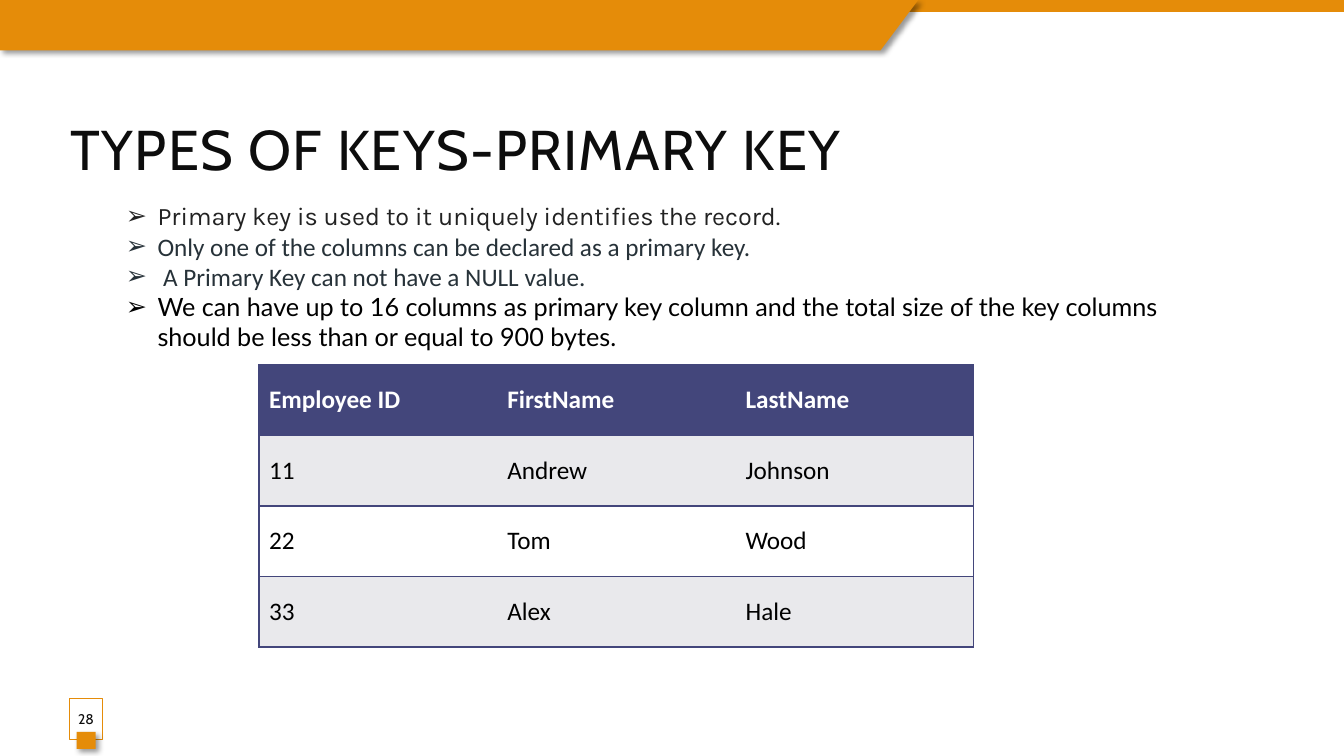
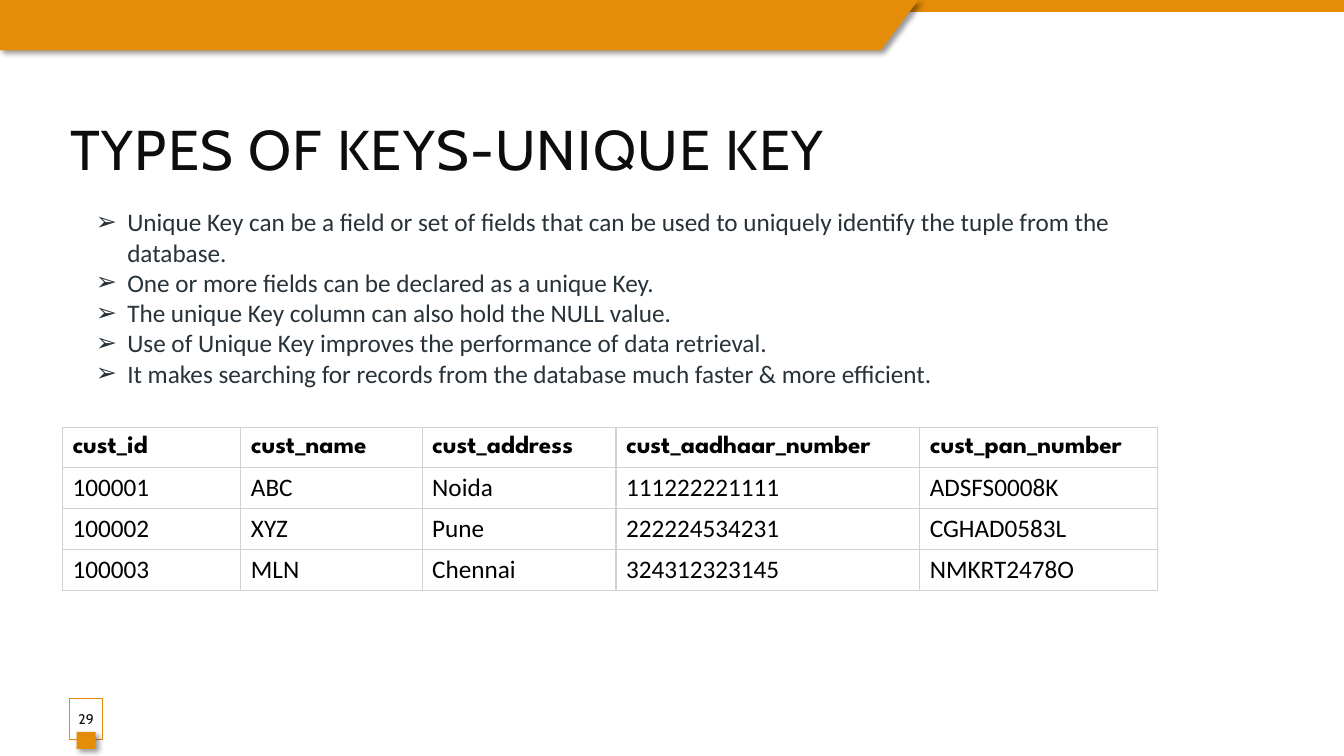
from lxml.etree import SubElement
from pptx import Presentation
from pptx.dml.color import RGBColor
from pptx.enum.shapes import MSO_SHAPE
from pptx.enum.text import MSO_ANCHOR, MSO_AUTO_SIZE, PP_ALIGN
from pptx.oxml.ns import qn
from pptx.util import Pt

COLORS = {
    "accent": "E58C09",
    "title": "0D0D0D",
    "white": "FFFFFF",
    "black": "000000",
    "charcoal": "222222",
    "slate": "273239",
    "indigo": "43467B",
    "stripe": "E9E9EC",
    "grid": "D2D2D2",
}
SIDES = {"left": "a:lnL", "right": "a:lnR", "top": "a:lnT", "bottom": "a:lnB"}


def rgb(name):
    return RGBColor.from_string(COLORS[name])


def add_xml(parent, tag, **attributes):
    return SubElement(parent, qn(tag), {key: str(value) for key, value in attributes.items()})


def write(para, text, font="Calibri", size=18, color="black", bold=False,
          align=PP_ALIGN.LEFT, tracking=0):
    para.alignment = align
    span = para.add_run()
    span.text = text
    span.font.name = font
    span.font.size = Pt(size)
    span.font.bold = bold
    span.font.color.rgb = rgb(color)
    if tracking:
        span.font._element.set("spc", str(tracking * 100))


def paint(shape, fill, line=None, alpha=None, shadow=False):
    shape.shadow.inherit = False
    shape.fill.solid()
    shape.fill.fore_color.rgb = rgb(fill)
    properties = shape.element.spPr
    if alpha:
        fill_color = properties.find(qn("a:solidFill"))[0]
        add_xml(fill_color, "a:alpha", val=alpha * 1000)
    if line:
        shape.line.color.rgb = rgb(line)
        shape.line.width = Pt(0.75)
    else:
        shape.line.fill.background()
    if shadow:
        effects = properties.find(qn("a:effectLst"))
        outer = add_xml(effects, "a:outerShdw", blurRad=Pt(4), dist=Pt(3),
                        dir=45 * 60000, algn="tl", rotWithShape=0)
        shadow_color = add_xml(outer, "a:srgbClr", val=COLORS["black"])
        add_xml(shadow_color, "a:alpha", val=40000)


def set_borders(cell, color, sides):
    """Draw the named sides of a cell and clear the others."""
    properties = cell._tc.get_or_add_tcPr()
    for side, tag in SIDES.items():
        line = add_xml(properties, tag, w=Pt(1))
        if side in sides:
            add_xml(add_xml(line, "a:solidFill"), "a:srgbClr", val=COLORS[color])
        else:
            add_xml(line, "a:noFill")


class KeysDeck:
    def __init__(self):
        self.deck = Presentation()
        self.deck.slide_width, self.deck.slide_height = Pt(960), Pt(540)
        self.layout = self.deck.slide_layouts[1]
        self.page = None

    def add_page(self, title, number):
        first = self.page is None
        self.page = self.deck.slides.add_slide(self.layout)
        if first:
            self.add_layout_bands()
        self.add_title(title)
        self.add_page_number(number)

    def place(self, shape, left, top, width, height):
        shape.left, shape.top = Pt(left), Pt(top)
        shape.width, shape.height = Pt(width), Pt(height)

    def add_rectangle(self, left, top, width, height, **style):
        box = self.page.shapes.add_shape(
            MSO_SHAPE.RECTANGLE, Pt(left), Pt(top), Pt(width), Pt(height))
        paint(box, **style)
        return box

    def add_layout_bands(self):
        """Draw the top bands and move them to the layout all pages share."""
        strip = self.add_rectangle(0, 0, 960, 8.6, fill="accent")
        outline = self.page.shapes.build_freeform(0, 0, scale=Pt(1))
        outline.add_line_segments([(656, 0), (629, 36), (0, 36)], close=True)
        banner = outline.convert_to_shape()
        paint(banner, "accent", shadow=True)
        for shape_id, band in enumerate((strip, banner), start=20):
            band.element.nvSpPr.cNvPr.set("id", str(shape_id))
            self.layout.shapes.element.append(band.element)

    def add_title(self, text):
        title = self.page.shapes.title
        self.place(title, 43.2, 77.8, 851, 55.4)
        frame = title.text_frame
        frame.word_wrap = True
        frame.auto_size = MSO_AUTO_SIZE.NONE
        frame.vertical_anchor = MSO_ANCHOR.MIDDLE
        write(frame.paragraphs[0], text, font="Cabin", size=40, color="title", tracking=1)

    def add_page_number(self, number):
        badge = self.add_rectangle(49.6, 499, 23.8, 29, fill="white", line="accent", alpha=82)
        frame = badge.text_frame
        frame.margin_left = frame.margin_right = 0
        frame.vertical_anchor = MSO_ANCHOR.MIDDLE
        write(frame.paragraphs[0], str(number), font="Cabin", size=10, color="title",
              align=PP_ALIGN.CENTER)
        self.add_rectangle(54.7, 522.7, 13.7, 12.2, fill="accent", shadow=True)

    def add_bullets(self, left, top, items):
        """Fill the body with (text, format) pairs."""
        body = self.page.placeholders[1]
        self.place(body, left, top, 793.4, 138.2)
        frame = body.text_frame
        frame.word_wrap = True
        frame.auto_size = MSO_AUTO_SIZE.NONE
        frame.vertical_anchor = MSO_ANCHOR.TOP
        for index, (text, style) in enumerate(items):
            para = frame.add_paragraph() if index else frame.paragraphs[0]
            para.space_before = para.space_after = Pt(0)
            para.line_spacing = 1.0
            properties = para._p.get_or_add_pPr()
            properties.set("marL", str(Pt(22.5)))
            properties.set("indent", str(Pt(-22.5)))
            add_xml(properties, "a:buChar", char="➢")
            write(para, text, **style)

    def add_table(self, left, top, widths, row_height, rows, header, fills, border,
                  inner_verticals=True):
        """Draw rows; fills holds the header fill, then the body fills in turn."""
        table = self.page.shapes.add_table(
            len(rows), len(widths), Pt(left), Pt(top),
            Pt(sum(widths)), Pt(row_height * len(rows))).table
        table.horz_banding = False
        for column, width in zip(table.columns, widths):
            column.width = Pt(width)
        last = len(widths) - 1
        for r, values in enumerate(rows):
            table.rows[r].height = Pt(row_height)
            fill = fills[1 + (r - 1) % (len(fills) - 1)] if r else fills[0]
            for c, value in enumerate(values):
                cell = table.cell(r, c)
                sides = {"top", "bottom"}
                if inner_verticals or c == 0:
                    sides.add("left")
                if inner_verticals or c == last:
                    sides.add("right")
                set_borders(cell, border, sides)
                cell.fill.solid()
                cell.fill.fore_color.rgb = rgb(fill)
                cell.vertical_anchor = MSO_ANCHOR.MIDDLE
                write(cell.text_frame.paragraphs[0], value, **({} if r else header))


def add_primary_key(keys):
    keys.add_page("TYPES OF KEYS-PRIMARY KEY", 28)
    slate = {"color": "slate"}
    keys.add_bullets(82.8, 139.7, [
        ("Primary key is used to it uniquely identifies the record.",
         {"font": "Karla", "color": "charcoal"}),
        ("Only one of the columns can be declared as a primary key.", slate),
        (" A Primary Key can not have a NULL value.", slate),
        ("We can have up to 16 columns as primary key column and the total size of the "
         "key columns should be less than or equal to 900 bytes.", {"font": "Lato"}),
    ])
    keys.add_table(
        185, 260.6, [170.2] * 3, 50.4,
        [("Employee ID", "FirstName", "LastName"),
         ("11", "Andrew", "Johnson"),
         ("22", "Tom", "Wood"),
         ("33", "Alex", "Hale")],
        header={"color": "white", "bold": True},
        fills=("indigo", "stripe", "white"), border="indigo", inner_verticals=False)


def add_unique_key(keys):
    keys.add_page("TYPES OF KEYS-UNIQUE KEY", 29)
    lines = [
        "Unique Key can be a field or set of fields that can be used to uniquely identify "
        "the tuple from the database.",
        "One or more fields can be declared as a unique Key.",
        "The unique Key column can also hold the NULL value.",
        "Use of Unique Key improves the performance of data retrieval.",
        "It makes searching for records from the database much faster & more efficient.",
    ]
    keys.add_bullets(61.2, 144, [(line, {"color": "slate"}) for line in lines])
    keys.add_table(
        44.6, 305.3, [127.5, 129.5, 138.5, 217, 170], 28.8,
        [("cust_id", "cust_name", "cust_address", "cust_aadhaar_number", "cust_pan_number"),
         ("100001", "ABC", "Noida", "111222221111", "ADSFS0008K"),
         ("100002", "XYZ", "Pune", "222224534231", "CGHAD0583L"),
         ("100003", "MLN", "Chennai", "324312323145", "NMKRT2478O")],
        header={"font": "League Spartan", "bold": True},
        fills=("white", "white"), border="grid")


def main():
    keys = KeysDeck()
    add_primary_key(keys)
    add_unique_key(keys)
    keys.deck.save("out.pptx")


if __name__ == "__main__":
    main()
